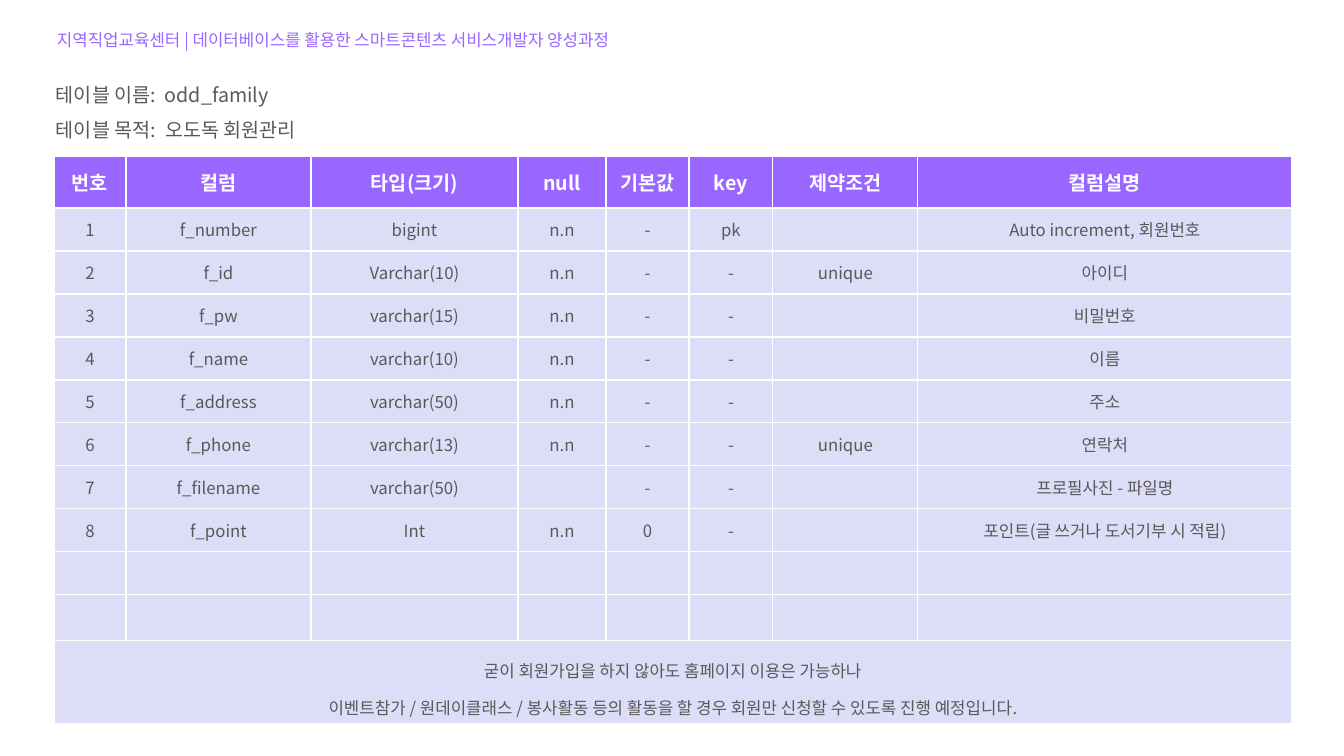
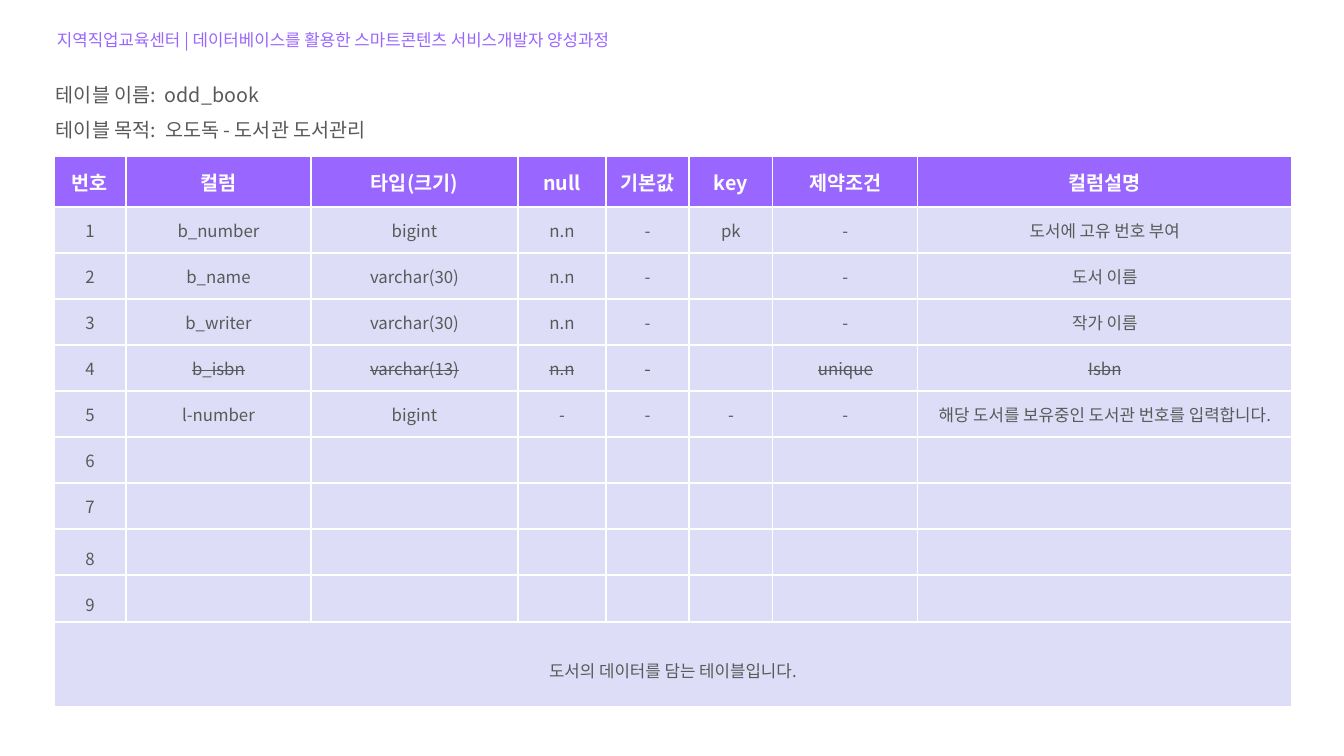
from lxml.etree import SubElement
from pptx import Presentation
from pptx.dml.color import RGBColor
from pptx.enum.text import MSO_ANCHOR as Anchor, MSO_AUTO_SIZE as AutoSize, PP_ALIGN as Align
from pptx.oxml.ns import qn
from pptx.util import Emu, Pt

PIXEL = 914400 / 100.8
FONT = "Noto Sans CJK KR"
PURPLE, LAVENDER, GREY, WHITE = "9966FF", "DDDDF7", "595959", "FFFFFF"
COURSE = "지역직업교육센터 | 데이터베이스를 활용한 스마트콘텐츠 서비스개발자 양성과정"
HEADINGS = ["번호", "컬럼", "타입(크기)", "null", "기본값", "key", "제약조건", "컬럼설명"]
COLUMN_EDGES = [0, 72, 257, 464, 552, 635, 719, 864, 1238]
TABLE_LEFT, TABLE_TOP = 54, 156

FAMILY = {
    "name": "odd_family",
    "purpose": "오도독 회원관리",
    "rows": [
        ["1", "f_number", "bigint", "n.n", "-", "pk", "", "Auto increment, 회원번호"],
        ["2", "f_id", "Varchar(10)", "n.n", "-", "-", "unique", "아이디"],
        ["3", "f_pw", "varchar(15)", "n.n", "-", "-", "", "비밀번호"],
        ["4", "f_name", "varchar(10)", "n.n", "-", "-", "", "이름"],
        ["5", "f_address", "varchar(50)", "n.n", "-", "-", "", "주소"],
        ["6", "f_phone", "varchar(13)", "n.n", "-", "-", "unique", "연락처"],
        ["7", "f_filename", "varchar(50)", "", "-", "-", "", "프로필사진 - 파일명"],
        ["8", "f_point", "Int", "n.n", "0", "-", "", "포인트(글 쓰거나 도서기부 시 적립)"],
        [""] * 8,
        [""] * 8,
    ],
    "summary": [
        "굳이 회원가입을 하지 않아도 홈페이지 이용은 가능하나",
        "이벤트참가 / 원데이클래스 / 봉사활동 등의 활동을 할 경우 회원만 신청할 수 있도록 진행 예정입니다.",
    ],
    "heights": [52] + [43] * 9 + [46, 83],
    "struck": [],
    "spaced": [],
}
BOOK = {
    "name": "odd_book",
    "purpose": "오도독 - 도서관 도서관리",
    "rows": [
        ["1", "b_number", "bigint", "n.n", "-", "pk", "-", "도서에 고유 번호 부여"],
        ["2", "b_name", "varchar(30)", "n.n", "-", "", "-", "도서 이름"],
        ["3", "b_writer", "varchar(30)", "n.n", "-", "", "-", "작가 이름"],
        ["4", "b_isbn", "varchar(13)", "n.n", "-", "", "unique", "Isbn"],
        ["5", "l-number", "bigint", "-", "-", "-", "-", "해당 도서를 보유중인 도서관 번호를 입력합니다."],
    ] + [[number] + [""] * 7 for number in "6789"],
    "summary": ["도서의 데이터를 담는 테이블입니다."],
    "heights": [51] + [46] * 8 + [47, 85],
    "struck": ["4"],
    "spaced": ["8", "9"],
}


def px(length):
    """Turn pixels into EMU."""
    return Emu(round(length * PIXEL))


def color(value):
    """Turn a hex string into a colour."""
    return RGBColor.from_string(value)


def write(frame, lines, size, ink, bold=False, align=None, spacing=None, struck=False):
    """Write styled lines of text into a text frame."""
    for index, line in enumerate(lines):
        paragraph = frame.paragraphs[0] if index == 0 else frame.add_paragraph()
        paragraph.alignment = align
        paragraph.line_spacing = spacing
        font = paragraph.font
        font.size, font.bold, font.name = Pt(size), bold, FONT
        font.color.rgb = color(ink)
        defaults = paragraph._p.get_or_add_pPr().find(qn("a:defRPr"))
        SubElement(defaults, qn("a:ea"), typeface=FONT)
        if line:
            run = paragraph.add_run()
            run.text = line
            if struck:
                run._r.get_or_add_rPr().set("strike", "sngStrike")
        else:
            SubElement(paragraph._p, qn("a:endParaRPr"), sz=str(size * 100))


def add_text(slide, left, top, width, height, lines, size, ink):
    """Add a wrapped text box with open line spacing."""
    frame = slide.shapes.add_textbox(px(left), px(top), px(width), px(height)).text_frame
    frame.word_wrap = True
    frame.auto_size = AutoSize.SHAPE_TO_FIT_TEXT
    write(frame, lines, size, ink, spacing=1.5)


def fill_cell(cell, lines, fill=LAVENDER, size=12, ink=GREY, **style):
    """Fill a table cell and centre its text."""
    cell.fill.solid()
    cell.fill.fore_color.rgb = color(fill)
    cell.vertical_anchor = Anchor.MIDDLE
    write(cell.text_frame, lines, size, ink, align=Align.CENTER, **style)


def add_schema(slide, schema):
    """Add the table of columns with its merged summary row."""
    heights = schema["heights"]
    table = slide.shapes.add_table(
        len(heights), len(HEADINGS), px(TABLE_LEFT), px(TABLE_TOP),
        px(COLUMN_EDGES[-1]), px(sum(heights))).table
    table.horz_banding = False
    for column, start, end in zip(table.columns, COLUMN_EDGES, COLUMN_EDGES[1:]):
        column.width = px(end - start)
    for row, height in zip(table.rows, heights):
        row.height = px(height)
    for column, heading in enumerate(HEADINGS):
        fill_cell(table.cell(0, column), [heading], PURPLE, 14, WHITE, bold=True)
    for row, values in enumerate(schema["rows"], 1):
        for column, value in enumerate(values):
            fill_cell(table.cell(row, column), [value],
                      struck=column > 0 and values[0] in schema["struck"],
                      spacing=1.5 if value in schema["spaced"] else None)
    last = len(heights) - 1
    summary = table.cell(last, 0)
    summary.merge(table.cell(last, len(HEADINGS) - 1))
    fill_cell(summary, schema["summary"], spacing=1.5)


def add_schema_slide(deck, schema):
    """Add one slide that documents a database table."""
    slide = deck.slides.add_slide(deck.slide_layouts[6])
    add_schema(slide, schema)
    add_text(slide, 47, 15, 1169, 35, [COURSE], 12, PURPLE)
    titles = [f"테이블 이름:  {schema['name']}", f"테이블 목적:  {schema['purpose']}"]
    add_text(slide, 46, 66, 1169, 76, titles, 14, GREY)


def main():
    """Build and save the deck."""
    deck = Presentation()
    deck.slide_width, deck.slide_height = px(1344), px(756)
    for schema in (FAMILY, BOOK):
        add_schema_slide(deck, schema)
    deck.save("out.pptx")


main()
